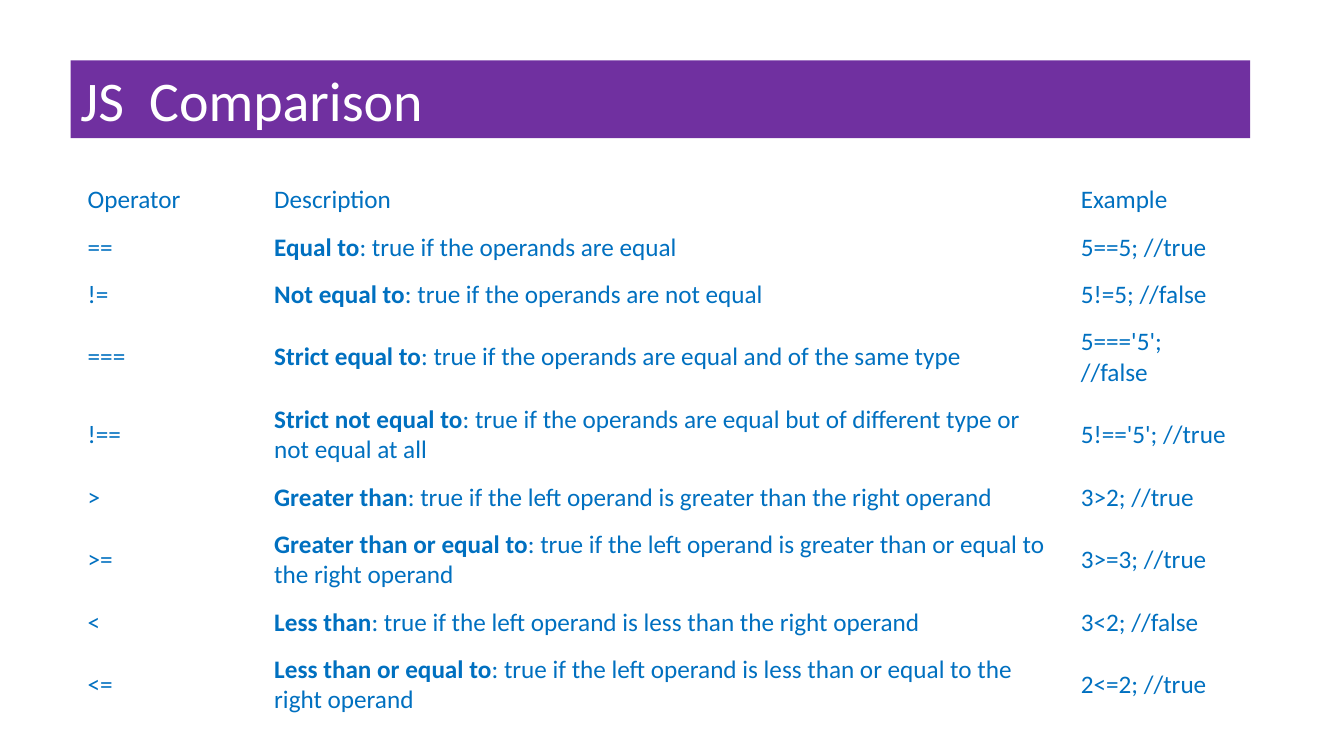
from dataclasses import dataclass
from typing import NamedTuple

from pptx import Presentation
from pptx.dml.color import RGBColor as Rgb
from pptx.enum.shapes import MSO_SHAPE as Shape
from pptx.enum.text import MSO_ANCHOR as Anchor, PP_ALIGN as Align
from pptx.slide import Slide
from pptx.table import _Cell as Cell
from pptx.util import Inches, Pt


@dataclass(frozen=True)
class Theme:
    font: str = "Calibri"
    banner: Rgb = Rgb(0x70, 0x30, 0xA0)
    white: Rgb = Rgb(0xFF, 0xFF, 0xFF)
    ink: Rgb = Rgb(0x00, 0x70, 0xC0)
    title_size: int = 40
    body_size: int = 18


class Operator(NamedTuple):
    symbol: str
    name: str
    meaning: str
    example: str
    height: float = 0.47


THEME = Theme()
LEFT, WIDTH = 0.7, 11.7
COLUMN_WIDTHS = (1.85, 8, 1.85)
TALL = 0.73  # rows whose description takes two lines

ROWS = (
    Operator("Operator", "", "Description", "Example"),
    Operator("==", "Equal to", ": true if the operands are equal", "5==5; //true"),
    Operator("!=", "Not equal to", ": true if the operands are not equal", "5!=5; //false"),
    Operator("===", "Strict equal to",
             ": true if the operands are equal and of the same type", "5==='5'; //false"),
    Operator("!==", "Strict not equal to",
             ": true if the operands are equal but of different type or not equal at all",
             "5!=='5'; //true", TALL),
    Operator(">", "Greater than",
             ": true if the left operand is greater than the right operand", "3>2; //true"),
    Operator(">=", "Greater than or equal to",
             ": true if the left operand is greater than or equal to the right operand",
             "3>=3; //true", TALL),
    Operator("<", "Less than",
             ": true if the left operand is less than the right operand", "3<2; //false"),
    Operator("<=", "Less than or equal to",
             ": true if the left operand is less than or equal to the right operand",
             "2<=2; //true", TALL),
)


def fill_cell(cell: Cell, text: str, bold_lead: str = "") -> None:
    """Write a cell, with an optional bold lead before its text."""
    cell.fill.solid()
    cell.fill.fore_color.rgb = THEME.white
    cell.vertical_anchor = Anchor.MIDDLE
    cell.margin_left = cell.margin_right = Inches(0.17)
    cell.margin_top = cell.margin_bottom = Inches(0.08)
    paragraph = cell.text_frame.paragraphs[0]
    paragraph.font.name = THEME.font
    paragraph.font.size = Pt(THEME.body_size)
    paragraph.font.color.rgb = THEME.ink
    if bold_lead:
        lead = paragraph.add_run()
        lead.text = bold_lead
        lead.font.bold = True
    paragraph.add_run().text = text


def add_operator_table(slide: Slide) -> None:
    height = sum(row.height for row in ROWS)
    table = slide.shapes.add_table(
        len(ROWS), len(COLUMN_WIDTHS),
        Inches(LEFT), Inches(1.75), Inches(WIDTH), Inches(height)).table
    table.first_row = table.horz_banding = False
    for column, width in zip(table.columns, COLUMN_WIDTHS):
        column.width = Inches(width)
    for index, operator in enumerate(ROWS):
        table.rows[index].height = Inches(operator.height)
        fill_cell(table.cell(index, 0), operator.symbol)
        fill_cell(table.cell(index, 1), operator.meaning, operator.name)
        fill_cell(table.cell(index, 2), operator.example)


def add_banner(slide: Slide, text: str) -> None:
    banner = slide.shapes.add_shape(
        Shape.RECTANGLE, Inches(LEFT), Inches(0.6), Inches(WIDTH), Inches(0.77))
    banner.shadow.inherit = False
    banner.fill.solid()
    banner.fill.fore_color.rgb = THEME.banner
    banner.line.fill.background()
    banner.text_frame.word_wrap = True
    banner.text_frame.vertical_anchor = Anchor.TOP
    title = banner.text_frame.paragraphs[0]
    title.text = text
    title.alignment = Align.LEFT
    title.font.name = THEME.font
    title.font.size = Pt(THEME.title_size)
    title.font.color.rgb = THEME.white


def main() -> None:
    deck = Presentation()
    deck.slide_width, deck.slide_height = Inches(13.33), Inches(7.5)
    slide = deck.slides.add_slide(deck.slide_layouts[6])

    # Operators with their meaning and an example
    add_operator_table(slide)
    # Title band
    add_banner(slide, "JS  Comparison")

    deck.save("out.pptx")


if __name__ == "__main__":
    main()
